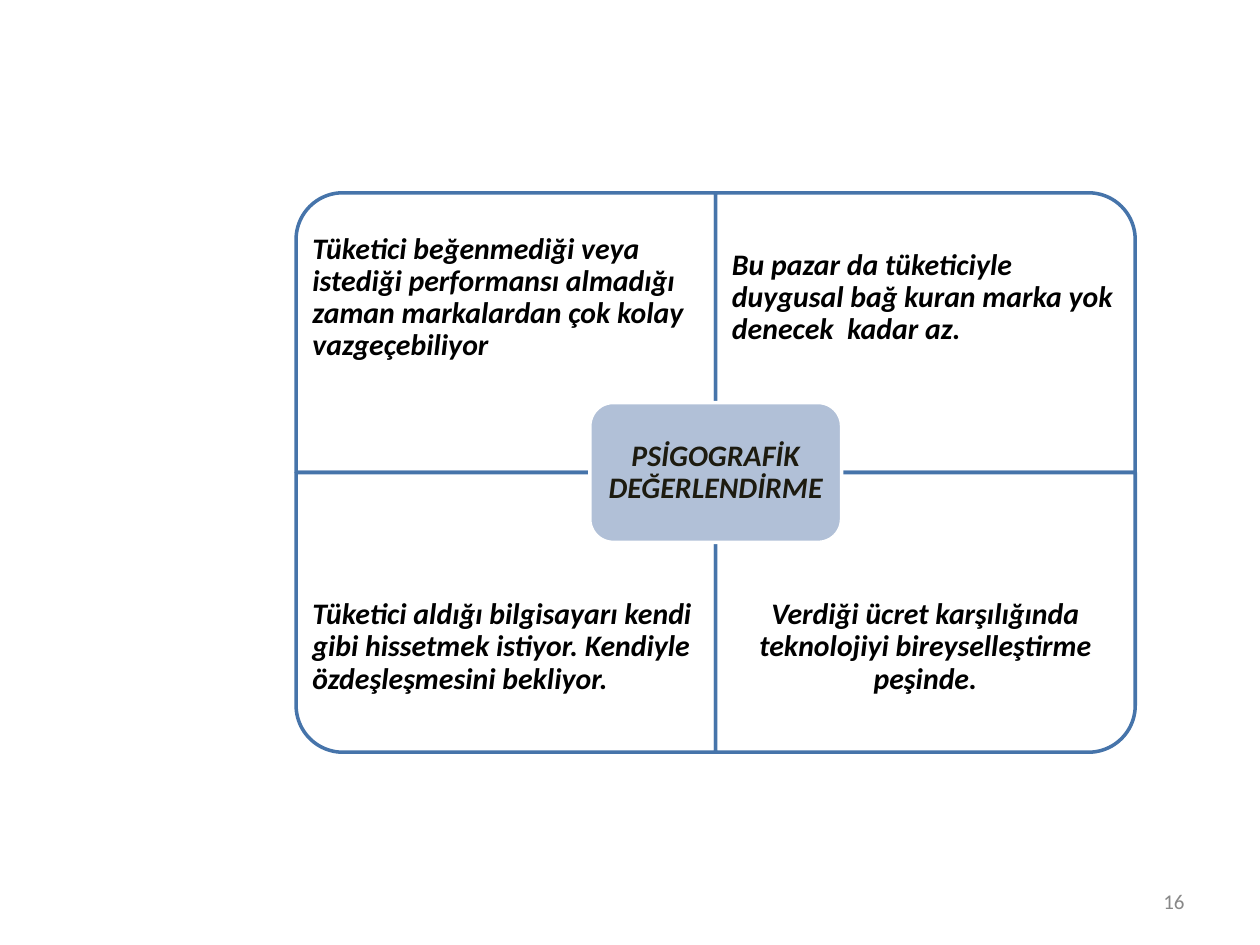
from pptx import Presentation
from pptx.dml.color import RGBColor
from pptx.enum.shapes import MSO_SHAPE
from pptx.enum.text import MSO_ANCHOR, PP_ALIGN
from pptx.util import Inches, Pt

QUADRANT, HUB = MSO_SHAPE.ROUND_1_RECTANGLE, MSO_SHAPE.ROUNDED_RECTANGLE
LEFT, CENTER, RIGHT = PP_ALIGN.LEFT, PP_ALIGN.CENTER, PP_ALIGN.RIGHT
MIDDLE = MSO_ANCHOR.MIDDLE

# Grid of two columns and two rows
GRID_LEFT, GRID_TOP = 2.35, 1.53
COLUMN, ROW = 3.33, 2.22
TEXT_HEIGHT = ROW * 0.75
CORNER = 0.167

# Column, row, rotation that turns the round corner outwards, alignment, text
STATEMENTS = [
    (0, 0, 270, LEFT, "Tüketici beğenmediği veya istediği performansı almadığı "
                      "zaman markalardan çok kolay vazgeçebiliyor"),
    (1, 0, 0, LEFT, "Bu pazar da tüketiciyle duygusal bağ kuran marka yok "
                    "denecek  kadar az."),
    (0, 1, 180, LEFT, "Tüketici aldığı bilgisayarı kendi gibi hissetmek istiyor. "
                      "Kendiyle özdeşleşmesini bekliyor."),
    (1, 1, 90, CENTER, "Verdiği ücret karşılığında teknolojiyi bireyselleştirme "
                       "peşinde."),
]


def color(hex_code):
    return RGBColor.from_string(hex_code)


def add_text(slide, text, left, top, width, height, *, size=17, ink="000000",
             strong=True, align=LEFT, spacing=0.9, inset=(0.13, 0.13)):
    box = slide.shapes.add_textbox(*map(Inches, (left, top, width, height)))
    frame = box.text_frame
    frame.word_wrap = True
    frame.vertical_anchor = MIDDLE
    frame.margin_left = frame.margin_right = Inches(inset[0])
    frame.margin_top = frame.margin_bottom = Inches(inset[1])
    paragraph = frame.paragraphs[0]
    paragraph.alignment = align
    paragraph.line_spacing = spacing
    run = paragraph.add_run()
    run.text = text
    font = run.font
    font.name, font.size = "Calibri", Pt(size)
    font.bold = font.italic = strong
    font.color.rgb = color(ink)


def add_panel(slide, kind, center_x, center_y, width, height, *, fill, line,
              rotation=0):
    # A quarter turn swaps the sides, so the panel still fills its cell
    if rotation % 180:
        width, height = height, width
    panel = slide.shapes.add_shape(
        kind, Inches(center_x - width / 2), Inches(center_y - height / 2),
        Inches(width), Inches(height))
    panel.rotation = rotation
    panel.adjustments[0] = CORNER
    panel.shadow.inherit = False
    panel.fill.solid()
    panel.fill.fore_color.rgb = color(fill)
    panel.line.color.rgb = color(line)
    panel.line.width = Pt(2)


def add_statement(slide, column, row, rotation, align, text):
    left, top = GRID_LEFT + column * COLUMN, GRID_TOP + row * ROW
    add_panel(slide, QUADRANT, left + COLUMN / 2, top + ROW / 2, COLUMN, ROW,
              fill="FFFFFF", line="4674AA", rotation=rotation)
    # Text keeps to the outer part of the cell, away from the hub
    add_text(slide, text, left, top + row * (ROW - TEXT_HEIGHT),
             COLUMN, TEXT_HEIGHT, align=align)


def add_hub(slide, text):
    width, height, edge = COLUMN * 0.6, ROW / 2, 0.055
    center_x, center_y = GRID_LEFT + COLUMN, GRID_TOP + ROW
    add_panel(slide, HUB, center_x, center_y, width, height,
              fill="B1C0D7", line="FFFFFF")
    add_text(slide, text, center_x - width / 2 + edge,
             center_y - height / 2 + edge, width - 2 * edge, height - 2 * edge,
             ink="1D1B10", align=CENTER, inset=(0.07, 0.07))


def main():
    deck = Presentation()
    deck.slide_width, deck.slide_height = Inches(10), Inches(7.5)
    slide = deck.slides.add_slide(deck.slide_layouts[6])

    # Page number
    add_text(slide, "16", 7.17, 6.95, 2.33, 0.4, size=12, ink="888888",
             strong=False, align=RIGHT, spacing=1.0, inset=(0.1, 0.05))

    # Four statements around the central title
    for statement in STATEMENTS:
        add_statement(slide, *statement)
    add_hub(slide, "PSİGOGRAFİK DEĞERLENDİRME")

    deck.save("out.pptx")


if __name__ == "__main__":
    main()
